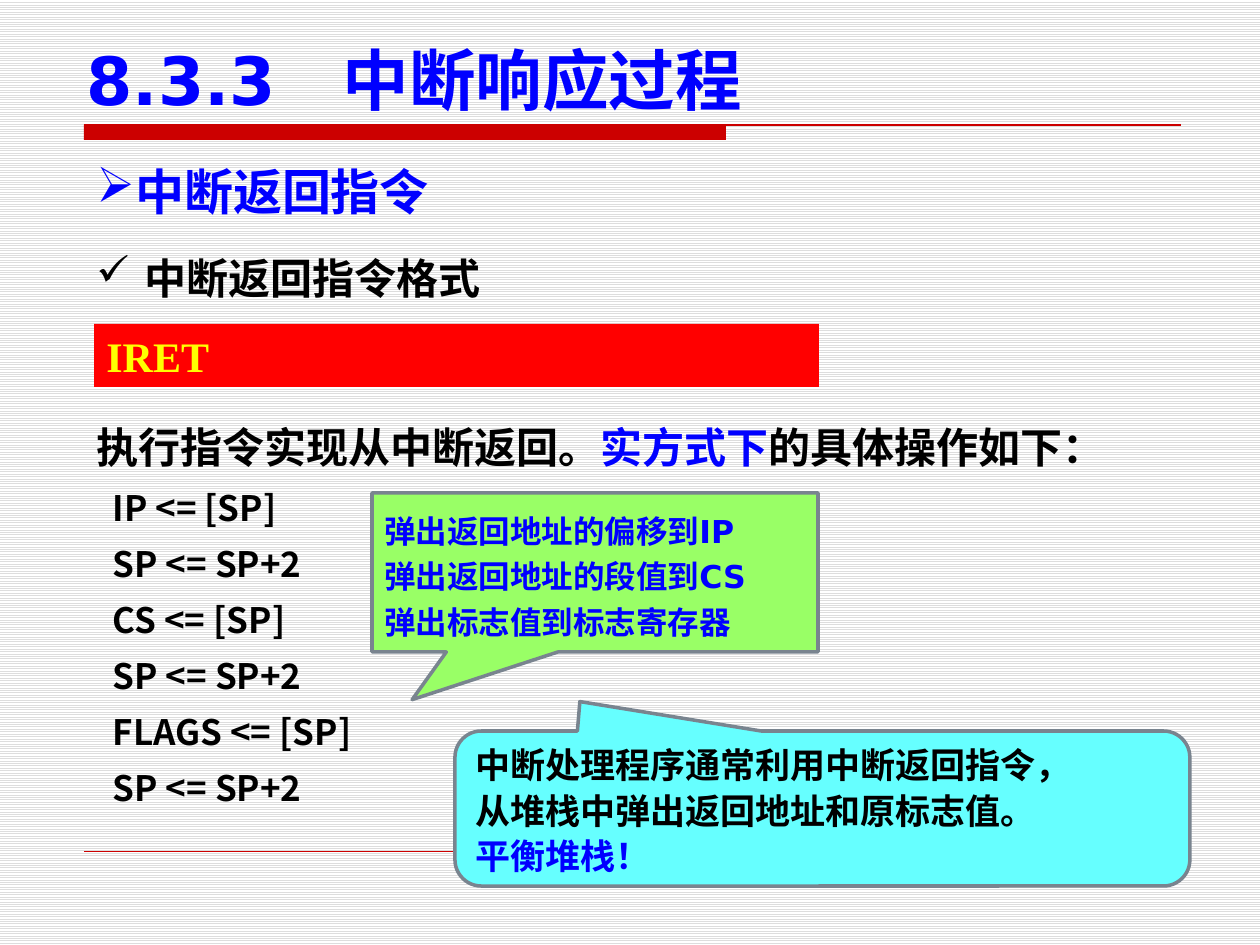
"""Build the slide on the interrupt return instruction."""
import pptx
import pptx.dml.color
import pptx.enum.dml
import pptx.enum.shapes
import pptx.enum.text
import pptx.oxml
import pptx.oxml.ns
import pptx.util

PX = 7257
SANS = "DejaVu Sans"
CJK = "Noto Sans CJK SC"
BLUE, RED, BLACK, GREY = "0000FF", "CC0000", "000000", "79848F"
SHAPE = pptx.enum.shapes.MSO_SHAPE
ANCHOR = pptx.enum.text.MSO_ANCHOR


def paint(hue):
    """Turn a hex string into a colour."""
    return pptx.dml.color.RGBColor.from_string(hue)


def write(frame, text, size=24, font=CJK, hue=BLACK, lead=None, mark=None, left=0, hang=0, join=False):
    """Add a paragraph, or with join a run in the last one."""
    para = frame.paragraphs[-1]
    if para.runs and not join:
        para = frame.add_paragraph()
    if not join:
        para.alignment = pptx.enum.text.PP_ALIGN.LEFT
        para.space_before = pptx.util.Pt(0)
        if lead:
            para.line_spacing = pptx.util.Pt(lead)
        props = para._p.get_or_add_pPr()
        props.set("marL", str(left * PX))
        props.set("indent", str(-hang * PX))
        kind = "a:buChar" if mark else "a:buNone"
        bullet = pptx.oxml.parse_xml(f"<{kind} {pptx.oxml.ns.nsdecls('a')}/>")
        if mark:
            bullet.set("char", mark)
        props.append(bullet)
    run = para.add_run()
    run.text = text
    run.font.size = pptx.util.Pt(size)
    run.font.name = font
    run.font.bold = True
    run.font.color.rgb = paint(hue)
    east = pptx.oxml.parse_xml(f'<a:ea {pptx.oxml.ns.nsdecls("a")} typeface="{CJK}"/>')
    run.font._element.append(east)


deck = pptx.Presentation()
deck.slide_width = pptx.util.Inches(10)
deck.slide_height = pptx.util.Inches(7.5)
slide = deck.slides.add_slide(deck.slide_layouts[1])
shapes = slide.shapes

back = slide.background.fill
back.patterned()
back.pattern = pptx.enum.dml.MSO_PATTERN.LIGHT_HORIZONTAL
back.fore_color.rgb = paint("DDDDDD")
back.back_color.rgb = paint("FFFFFF")

for end, top, width in [(1181, 125, 0.75), (1176, 851, 0.25)]:
    rule = shapes.add_connector(
        pptx.enum.shapes.MSO_CONNECTOR.STRAIGHT, 84 * PX, top * PX, end * PX, top * PX)
    rule.line.color.rgb = paint(RED)
    rule.line.width = pptx.util.Pt(width)
    rule._element.spPr.append(pptx.oxml.parse_xml(f"<a:effectLst {pptx.oxml.ns.nsdecls('a')}/>"))

title, body = shapes.title, slide.placeholders[1]
for holder, box, anchor in [
    (title, (74, 35, 1142, 90), ANCHOR.BOTTOM),
    (body, (84, 403, 1091, 416), ANCHOR.TOP),
]:
    holder.left, holder.top, holder.width, holder.height = [n * PX for n in box]
    holder.text_frame.auto_size = pptx.enum.text.MSO_AUTO_SIZE.NONE
    holder.text_frame.vertical_anchor = anchor

write(title.text_frame, "8.3.3　中断响应过程", size=38, font=SANS, hue=BLUE)

write(body.text_frame, "执行指令实现从中断返回。", lead=36)
write(body.text_frame, "实方式下", hue=BLUE, join=True)
write(body.text_frame, "的具体操作如下：", join=True)
for target in ["IP", "CS", "FLAGS"]:
    for step in [f"{target} <= [SP]", "SP <= SP+2"]:
        write(body.text_frame, step, size=20, lead=32, left=16)

for top, high, text, style in [
    (155, 72, "中断返回指令", dict(size=28, font=SANS, hue=BLUE, mark="➢")),
    (234, 77, "中断返回指令格式", dict(lead=36, mark="✓", left=48, hang=48)),
]:
    head = shapes.add_textbox(84 * PX, top * PX, 1091 * PX, high * PX)
    head.text_frame.word_wrap = True
    write(head.text_frame, text, **style)

callout = dict(size=18, font=SANS, hue=BLUE, lead=26)
note = dict(size=20, lead=26)
for kind, box, fill, edge, tail, lines in [
    (SHAPE.RECTANGLE, (84, 125, 642, 15), RED, None, [], []),
    (SHAPE.RECTANGLE, (94, 324, 725, 63), "FF0000", None, [],
     [("IRET", dict(font="Times New Roman", hue="FFFF00"))]),
    (SHAPE.RECTANGULAR_CALLOUT, (372, 493, 446, 159), "99FF66", GREY, [-0.41, 0.8],
     [("弹出返回地址的偏移到IP", callout),
      ("弹出返回地址的段值到CS", callout),
      ("弹出标志值到标志寄存器", callout)]),
    (SHAPE.ROUNDED_RECTANGULAR_CALLOUT, (455, 731, 735, 155), "66FFFF", GREY, [-0.33, -0.69, 0.17],
     [("中断处理程序通常利用中断返回指令，", note),
      ("从堆栈中弹出返回地址和原标志值。", note),
      ("平衡堆栈！", dict(note, hue=BLUE))]),
]:
    shape = shapes.add_shape(kind, *[n * PX for n in box])
    shape.shadow.inherit = False
    shape.fill.solid()
    shape.fill.fore_color.rgb = paint(fill)
    if edge:
        shape.line.color.rgb = paint(edge)
        shape.line.width = pptx.util.Pt(2)
    else:
        shape.line.fill.background()
    for spot, value in enumerate(tail):
        shape.adjustments[spot] = value
    shape.text_frame.vertical_anchor = ANCHOR.MIDDLE
    for text, style in lines:
        write(shape.text_frame, text, **style)

deck.save("out.pptx")
